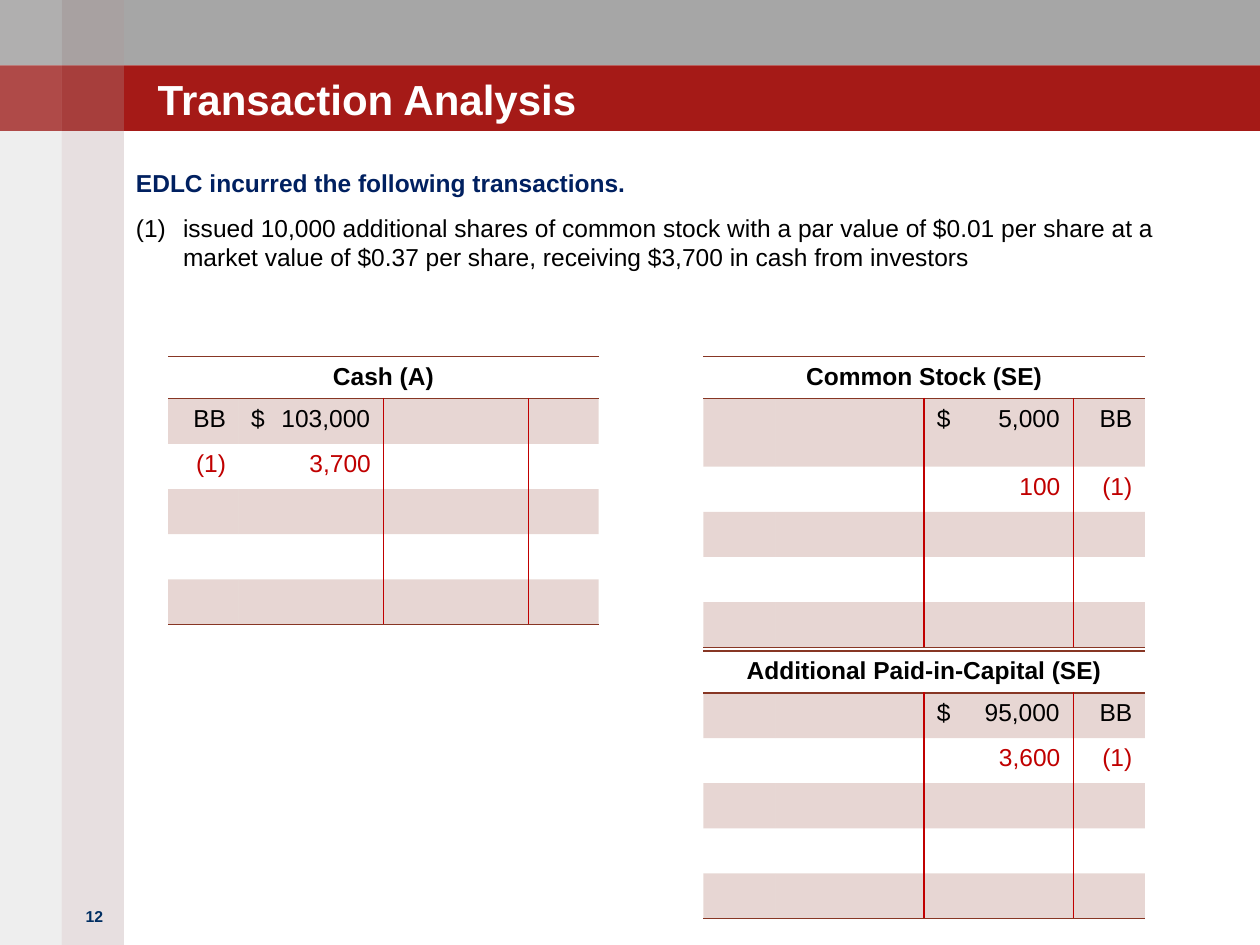
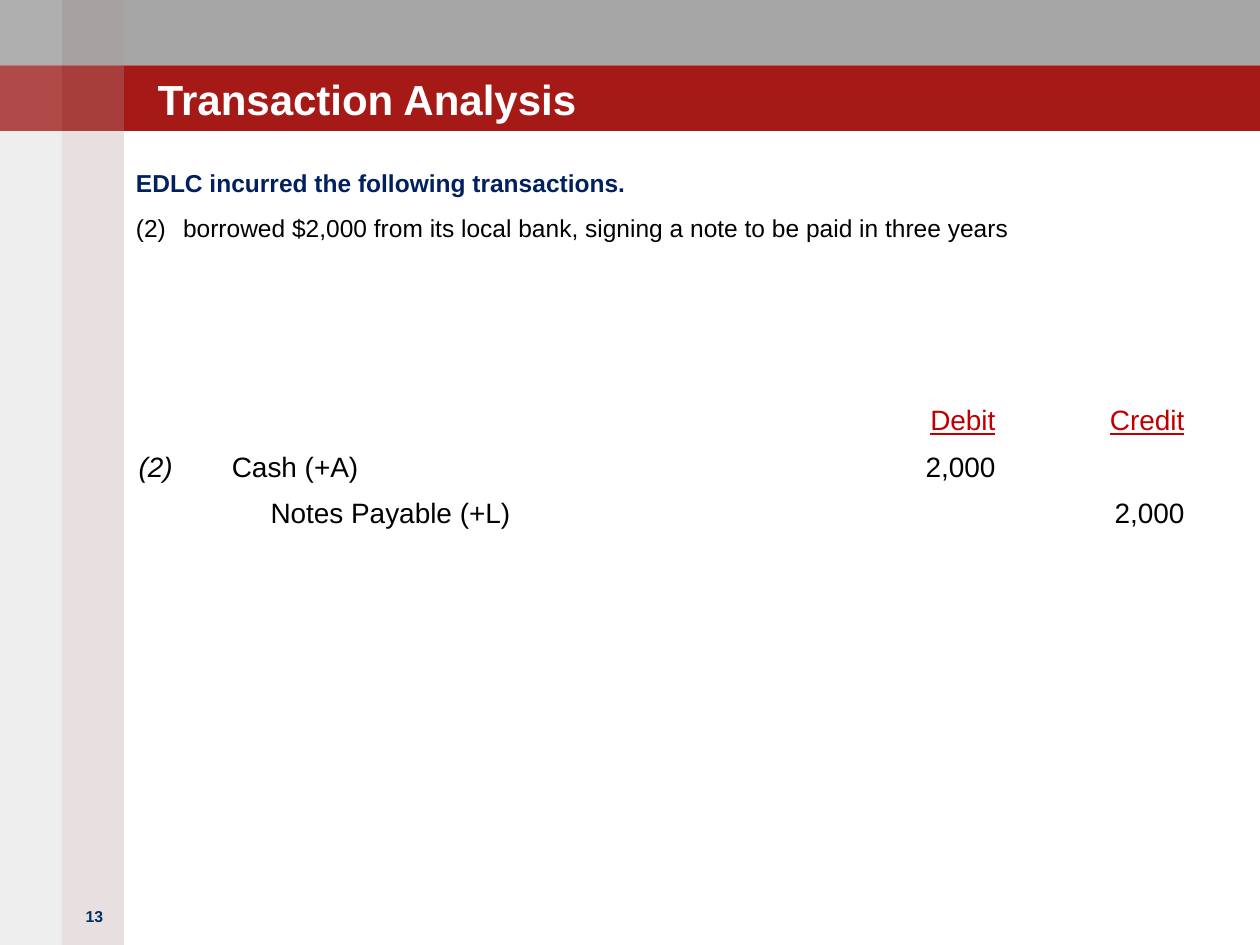
"""Builds two transaction analysis slides with ledger accounts and a journal entry."""
from lxml import etree
from pptx import Presentation
from pptx import util as u
from pptx.dml.color import RGBColor
from pptx.enum import shapes, text
from pptx.oxml.ns import qn

FONT = "Arial"
BLACK = RGBColor(0x00, 0x00, 0x00)
WHITE = RGBColor(0xFF, 0xFF, 0xFF)
GREY = RGBColor(0xA6, 0xA6, 0xA6)
RED = RGBColor(0xA5, 0x1A, 0x17)
ROSE = RGBColor(0xA0, 0x82, 0x84)
STONE = RGBColor(0x93, 0x8F, 0x8F)
NAVY = RGBColor(0x00, 0x20, 0x60)
NUMBER_BLUE = RGBColor(0x00, 0x2E, 0x62)
BROWN = RGBColor(0x87, 0x36, 0x24)
ENTRY_RED = RGBColor(0xC0, 0x00, 0x00)
PLAIN_TABLE = "{2D5ABB26-0587-4C30-8999-92F81FD0307C}"
LEFT, CENTER, RIGHT = text.PP_ALIGN.LEFT, text.PP_ALIGN.CENTER, text.PP_ALIGN.RIGHT

PAGE_WIDTH, PAGE_HEIGHT = 25.4, 19.05
BAND = 1.32
STRIPE = 1.25


class SlideBuilder:
    """Holds the shared style and the slide being built."""

    def __init__(self):
        self.deck = Presentation()
        self.deck.slide_width = u.Cm(PAGE_WIDTH)
        self.deck.slide_height = u.Cm(PAGE_HEIGHT)
        self.layout = self.deck.slide_layouts[1]
        self.page = None

    def start_page(self, number, title):
        """Adds a slide with its title and page number."""
        self.page = self.deck.slides.add_slide(self.layout)
        if number == FIRST_NUMBER:
            self.backdrop()
        frame = self.place(self.page.shapes.title, 3.18, 0.79, 20.12, 1.7)
        frame.vertical_anchor = text.MSO_ANCHOR.BOTTOM
        self.set_text(frame.paragraphs[0], title, 24, WHITE, bold=True)
        box = self.page.shapes.add_textbox(u.Cm(1.27), u.Cm(18.16), u.Cm(1.27), u.Cm(1.27))
        box.text_frame.word_wrap = True
        self.set_text(box.text_frame.paragraphs[0], str(number), 9, NUMBER_BLUE, CENTER, True)

    def backdrop(self):
        """Draws the bands and stripes and moves them to the layout."""
        bands = [
            (0, 0, PAGE_WIDTH, BAND, GREY, 100),
            (0, BAND, PAGE_WIDTH, BAND, RED, 100),
            (STRIPE, 0, STRIPE, PAGE_HEIGHT, ROSE, 25),
            (0, 0, STRIPE, PAGE_HEIGHT, STONE, 15),
        ]
        for top in (0, BAND):
            bands.append((STRIPE, top, STRIPE, BAND, WHITE, 5))
            bands.append((0, top, STRIPE, BAND, WHITE, 15))
        for order, band in enumerate(bands):
            shape = self.rectangle(*band)
            self.layout.shapes._spTree.insert(2 + order, shape._element)

    def rectangle(self, left, top, width, height, color, opacity):
        """Adds a plain rectangle."""
        shape = self.page.shapes.add_shape(
            shapes.MSO_SHAPE.RECTANGLE, u.Cm(left), u.Cm(top), u.Cm(width), u.Cm(height))
        shape.shadow.inherit = False
        shape.line.fill.background()
        self.tint(shape.fill, shape._element.spPr, color, opacity)
        return shape

    def tint(self, fill, parent, color, opacity):
        """Fills with a colour at an opacity in percent."""
        fill.solid()
        fill.fore_color.rgb = color
        if opacity < 100:
            shade = parent.find(qn("a:solidFill"))[0]
            etree.SubElement(shade, qn("a:alpha"), val=str(opacity * 1000))

    def place(self, holder, left, top, width, height):
        """Moves a placeholder and clears its margins."""
        holder.left, holder.top = u.Cm(left), u.Cm(top)
        holder.width, holder.height = u.Cm(width), u.Cm(height)
        frame = holder.text_frame
        frame.margin_left = frame.margin_right = frame.margin_top = frame.margin_bottom = 0
        frame.auto_size = text.MSO_AUTO_SIZE.NONE
        frame.word_wrap = True
        return frame

    def set_text(self, paragraph, words, size, color, align=LEFT, bold=False):
        """Sets text in the shared font."""
        paragraph.alignment = align
        font = paragraph.font
        font.name, font.size, font.bold = FONT, u.Pt(size), bold
        font.color.rgb = color
        if words:
            paragraph.add_run().text = words
        else:
            etree.SubElement(paragraph._p, qn("a:endParaRPr"), sz=str(size * 100))

    def body(self, heading, number, transaction):
        """Fills the body with a heading and one numbered transaction."""
        frame = self.place(self.page.placeholders[1], 2.74, 3.38, 21.39, 14.81)
        lines = [(heading, NAVY, True, 0), (transaction, BLACK, False, 0.95)]
        for order, (words, color, bold, indent) in enumerate(lines):
            paragraph = frame.add_paragraph() if order else frame.paragraphs[0]
            paragraph.space_before, paragraph.space_after = u.Pt(3), u.Pt(6)
            settings = paragraph._p.get_or_add_pPr()
            settings.set("marL", str(u.Cm(indent)))
            settings.set("indent", str(-u.Cm(indent)))
            if indent:
                etree.SubElement(settings, qn("a:buFont"), typeface=FONT)
                etree.SubElement(settings, qn("a:buAutoNum"),
                                 type="arabicParenBoth", startAt=str(number))
            else:
                etree.SubElement(settings, qn("a:buNone"))
            self.set_text(paragraph, words, 14, color, bold=bold)

    def table(self, left, top, widths, heights):
        """Adds an unstyled table."""
        table = self.page.shapes.add_table(
            len(heights), len(widths), u.Cm(left), u.Cm(top),
            u.Cm(sum(widths)), u.Cm(sum(heights))).table
        table.first_row = table.horz_banding = False
        table._tbl.tblPr.find(qn("a:tableStyleId")).text = PLAIN_TABLE
        for column, width in zip(table.columns, widths):
            column.width = u.Cm(width)
        for row, height in zip(table.rows, heights):
            row.height = u.Cm(height)
        return table

    def border(self, cell, side, color, points=1):
        """Draws one border of a cell; sides go in the order L, R, T, B."""
        line = etree.SubElement(cell._tc.get_or_add_tcPr(), qn("a:ln" + side),
                                w=str(u.Pt(points)))
        fill = etree.SubElement(line, qn("a:solidFill"))
        etree.SubElement(fill, qn("a:srgbClr"), val=str(color))

    def account(self, title, left, top, widths, entries, first_height=0.91):
        """Adds a ledger account with a title row and five banded rows."""
        heights = [0.81, first_height] + [0.91] * 4
        table = self.table(left, top, widths, heights)
        for row in range(len(heights)):
            for column in range(len(widths)):
                cell = table.cell(row, column)
                if row == 0:
                    self.border(cell, "T", BROWN)
                else:
                    if column > 1:
                        self.border(cell, "L", ENTRY_RED, 1 if column == 2 else 0.5)
                    if column in (1, 2):
                        self.border(cell, "R", ENTRY_RED, 1 if column == 1 else 0.5)
                if row in (0, len(heights) - 1):
                    self.border(cell, "B", BROWN)
                if row % 2:
                    self.tint(cell.fill, cell._tc.tcPr, BROWN, 20)
                else:
                    cell.fill.background()
                words = entries.get((row, column), "")
                paragraph = cell.text_frame.paragraphs[0]
                if row == 0:
                    self.set_text(paragraph, "" if column else title, 14, BLACK, CENTER, True)
                    continue
                if "\t" in words:
                    settings = paragraph._p.get_or_add_pPr()
                    stops = etree.SubElement(settings, qn("a:tabLst"))
                    stop = u.Cm(widths[column] - 0.52)
                    etree.SubElement(stops, qn("a:tab"), pos=str(stop), algn="r")
                self.set_text(paragraph, words, 14, ENTRY_RED if row == 2 else BLACK,
                              LEFT if "\t" in words else RIGHT)
        table.cell(0, 0).merge(table.cell(0, len(widths) - 1))

    def journal(self, left, top, widths, rows):
        """Adds a journal entry with debit and credit columns."""
        table = self.table(left, top, widths, [0.88] * len(rows))
        for row, entries in enumerate(rows):
            for column, words in enumerate(entries):
                cell = table.cell(row, column)
                cell.fill.background()
                paragraph = cell.text_frame.paragraphs[0]
                self.set_text(paragraph, words, 16, BLACK if row else ENTRY_RED,
                              RIGHT if column > 1 else LEFT)
                paragraph.font.underline = row == 0
                paragraph.font.italic = column == 0
        credited = table.cell(len(rows) - 1, 1).text_frame.paragraphs[0]
        credited._p.get_or_add_pPr().set("marL", str(u.Cm(0.78)))


FIRST_NUMBER = 12
TITLE = "Transaction Analysis"
HEADING = "EDLC incurred the following transactions."
CASH_WIDTHS = [1.42, 2.92, 2.92, 1.42]
EQUITY_WIDTHS = [1.45, 3.0, 3.0, 1.45]


def main():
    """Builds and saves the deck."""
    builder = SlideBuilder()
    builder.start_page(FIRST_NUMBER, TITLE)
    builder.body(HEADING, 1, "issued 10,000 additional shares of common stock with a par value "
                 "of $0.01 per share at a market value of $0.37 per share, receiving $3,700 "
                 "in cash from investors")
    builder.account("Cash (A)", 3.39, 7.19, CASH_WIDTHS, {
        (1, 0): "BB", (1, 1): "$\t103,000", (2, 0): "(1)", (2, 1): "3,700"})
    builder.account("Common Stock (SE)", 14.18, 7.19, EQUITY_WIDTHS, {
        (1, 2): "$\t5,000", (1, 3): "BB", (2, 2): "100", (2, 3): "(1)"}, 1.37)
    builder.account("Additional Paid-in-Capital (SE)", 14.18, 13.12, EQUITY_WIDTHS, {
        (1, 2): "$\t95,000", (1, 3): "BB", (2, 2): "3,600", (2, 3): "(1)"})

    builder.start_page(FIRST_NUMBER + 1, TITLE)
    builder.body(HEADING, 2, "borrowed $2,000 from its local bank, signing a note to be paid "
                 "in three years")
    builder.journal(2.54, 8.05, [1.88, 12.72, 3.18, 3.81], [
        ("", "", "Debit", "Credit"),
        ("(2)", "Cash (+A)", "2,000", ""),
        ("", "Notes Payable (+L)", "", "2,000")])
    builder.deck.save("out.pptx")


if __name__ == "__main__":
    main()
